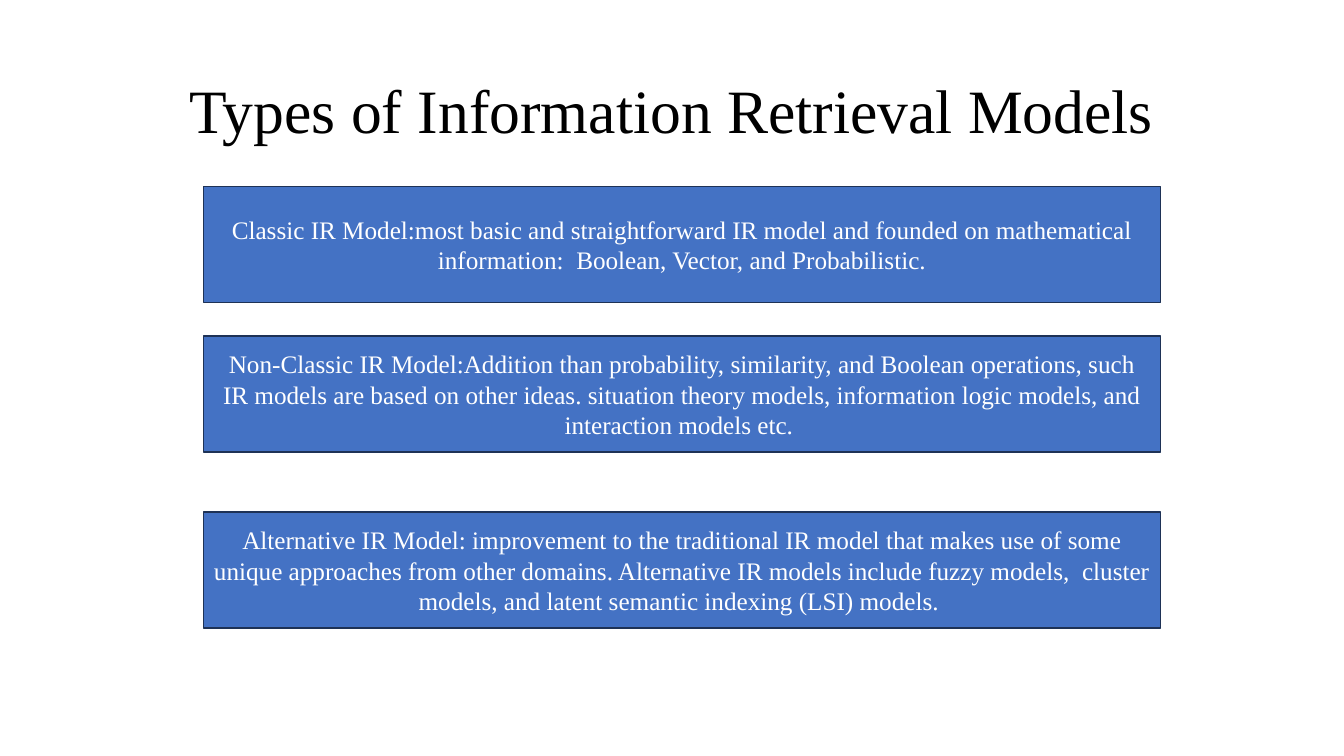
from dataclasses import dataclass

import pptx
import pptx.dml.color
import pptx.enum.shapes
import pptx.enum.text
import pptx.util

Pt = pptx.util.Pt
RGB = pptx.dml.color.RGBColor


@dataclass(frozen=True)
class Theme:
    font: str = "Times New Roman"
    title_size: int = 44
    body_size: int = 18
    title: RGB = RGB.from_string("000000")
    text: RGB = RGB.from_string("FFFFFF")
    fill: RGB = RGB.from_string("4472C4")
    line: RGB = RGB.from_string("1E3256")


theme = Theme()


def format_text(tf, size, color):
    tf.word_wrap = True
    tf.vertical_anchor = pptx.enum.text.MSO_ANCHOR.MIDDLE
    p = tf.paragraphs[0]
    p.alignment = pptx.enum.text.PP_ALIGN.CENTER
    for r in p.runs:
        r.font.name = theme.font
        r.font.size = Pt(size)
        r.font.color.rgb = color


prs = pptx.Presentation()
prs.slide_width, prs.slide_height = Pt(960), Pt(540)
s = prs.slides.add_slide(prs.slide_layouts[5])

title = s.shapes.title
title.left, title.top, title.width, title.height = Pt(66), Pt(28.75), Pt(828), Pt(104.4)
title.text_frame.text = "Types of Information Retrieval Models"
title.text_frame.paragraphs[0].line_spacing = 0.9
format_text(title.text_frame, theme.title_size, theme.title)

models = [
    (133.2, "Classic IR Model:most basic and straightforward IR model and founded on "
            "mathematical information:  Boolean, Vector, and Probabilistic."),
    (240, "Non-Classic IR Model:Addition than probability, similarity, and Boolean "
          "operations, such IR models are based on other ideas. situation theory models, "
          "information logic models, and interaction models etc. "),
    (365.8, "Alternative IR Model: improvement to the traditional IR model that makes use "
            "of some unique approaches from other domains. Alternative IR models include "
            "fuzzy models,  cluster models, and latent semantic indexing (LSI) models. "),
]
for top, text in models:
    box = s.shapes.add_shape(pptx.enum.shapes.MSO_SHAPE.RECTANGLE,
                             Pt(145.5), Pt(top), Pt(683.5), Pt(82.8))
    box.shadow.inherit = False
    box.fill.solid()
    box.fill.fore_color.rgb = theme.fill
    box.line.color.rgb = theme.line
    box.line.width = Pt(1)
    box.text_frame.text = text
    format_text(box.text_frame, theme.body_size, theme.text)

prs.save("out.pptx")
